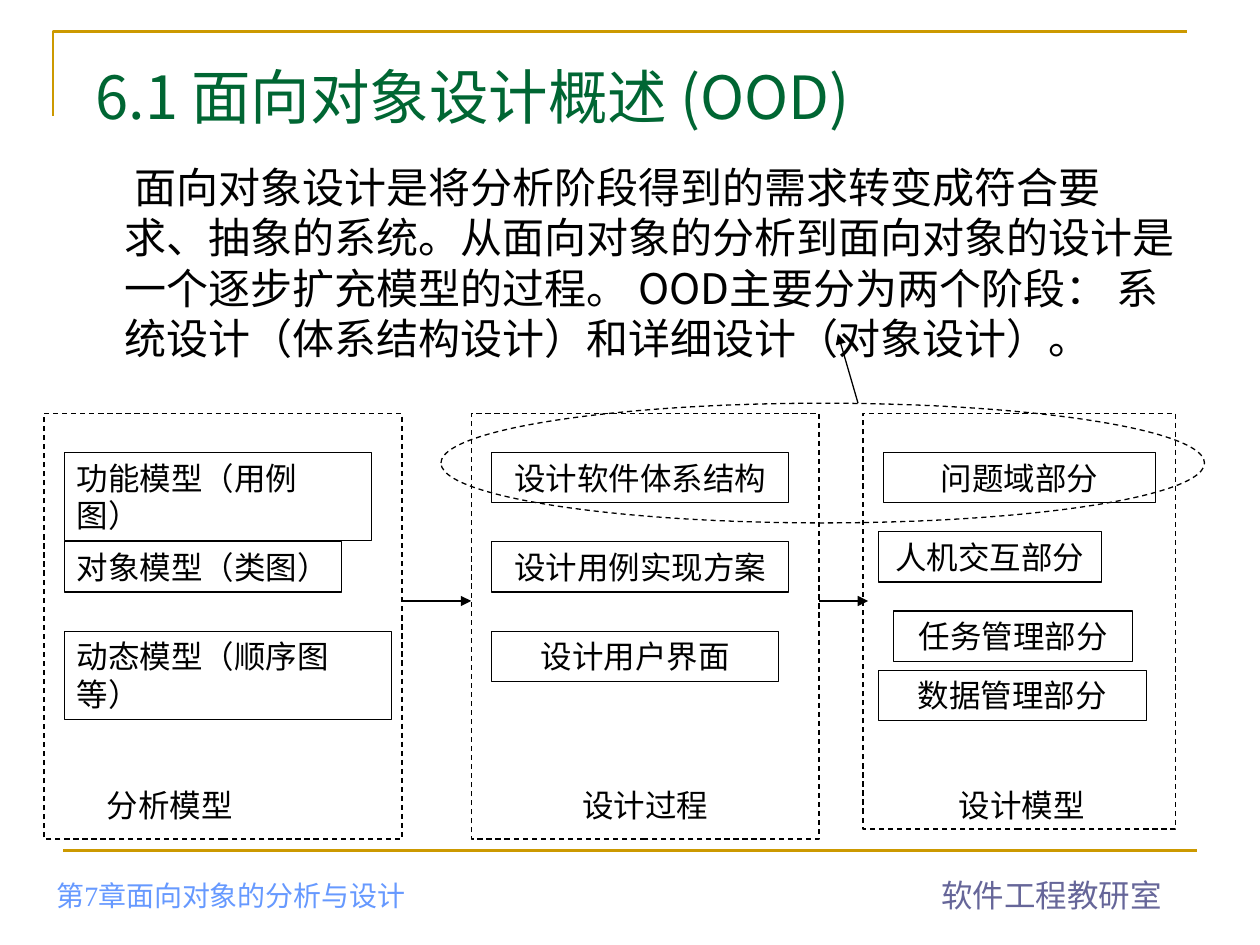
from typing import NamedTuple

from lxml import etree
from pptx import Presentation
from pptx.dml.color import RGBColor
from pptx.enum.dml import MSO_LINE
from pptx.enum.shapes import MSO_CONNECTOR, MSO_SHAPE
from pptx.enum.text import MSO_ANCHOR, MSO_AUTO_SIZE, PP_ALIGN
from pptx.oxml.ns import qn
from pptx.util import Inches, Pt

RECTANGLE, ELLIPSE = MSO_SHAPE.RECTANGLE, MSO_SHAPE.OVAL
STRAIGHT, DASH = MSO_CONNECTOR.STRAIGHT, MSO_LINE.DASH
LEFT, CENTER = PP_ALIGN.LEFT, PP_ALIGN.CENTER
TOP, MIDDLE, BOTTOM = MSO_ANCHOR.TOP, MSO_ANCHOR.MIDDLE, MSO_ANCHOR.BOTTOM
BLACK, GOLD, GREEN = "000000", "CC9900", "006633"
CJK = "Noto Sans CJK SC"


class Area(NamedTuple):
    left: float
    top: float
    width: float
    height: float


class Item(NamedTuple):
    text: str
    area: Area


class Stage(NamedTuple):
    frame: Area
    label: Item
    items: list[Item]
    align: PP_ALIGN


class Link(NamedTuple):
    start: tuple[float, float]
    end: tuple[float, float]


ROW = 0.4
STAGES = [
    Stage(Area(0.35, 3.28, 2.84, 3.38),
          Item("分析模型", Area(0.75, 6.19, 2.28, ROW)),
          [Item("功能模型（用例图）", Area(0.51, 3.59, 2.44, 0.7)),
           Item("对象模型（类图）", Area(0.51, 4.3, 2.2, ROW)),
           Item("动态模型（顺序图等）", Area(0.51, 5.01, 2.6, 0.7))],
          LEFT),
    Stage(Area(3.74, 3.28, 2.76, 3.38),
          Item("设计过程", Area(3.98, 6.19, 2.28, ROW)),
          [Item("设计软件体系结构", Area(3.9, 3.59, 2.36, ROW)),
           Item("设计用例实现方案", Area(3.9, 4.3, 2.36, ROW)),
           Item("设计用户界面", Area(3.9, 5.01, 2.28, ROW))],
          CENTER),
    Stage(Area(6.85, 3.28, 2.48, 3.3),
          Item("设计模型", Area(6.97, 6.19, 2.28, ROW)),
          [Item("问题域部分", Area(7.01, 3.59, 2.16, ROW)),
           Item("人机交互部分", Area(6.97, 4.22, 1.77, ROW)),
           Item("任务管理部分", Area(7.09, 4.85, 1.9, ROW)),
           Item("数据管理部分", Area(6.97, 5.32, 2.13, ROW))],
          CENTER),
]
SYSTEM_DESIGN = Area(3.5, 3.2, 6.06, 0.95)
ARROWS = [
    Link((3.19, 4.77), (3.74, 4.77)),
    Link((6.5, 4.77), (6.89, 4.77)),
    Link((6.81, 3.2), (6.65, 2.65)),
]


def rgb(color: str) -> RGBColor:
    return RGBColor.from_string(color)


def inches(area: Area) -> list[Inches]:
    return [Inches(length) for length in area]


def write(shape, text: str, size: float, font: str = "Arial", color: str = BLACK,
          align: PP_ALIGN = LEFT, anchor: MSO_ANCHOR = TOP, wrap: bool = True):
    """Fill a shape with one formatted paragraph and return the paragraph."""
    frame = shape.text_frame
    frame.text = text
    frame.auto_size = MSO_AUTO_SIZE.NONE
    frame.word_wrap = wrap
    frame.vertical_anchor = anchor
    paragraph = frame.paragraphs[0]
    paragraph.alignment = align
    paragraph.space_before = Pt(0)
    run_font = paragraph.runs[0].font
    run_font.size = Pt(size)
    run_font.name = font
    run_font.color.rgb = rgb(color)
    return paragraph


def place(placeholder, area: Area) -> None:
    (placeholder.left, placeholder.top,
     placeholder.width, placeholder.height) = inches(area)


def add_label(slide, item: Item, size: float, **style) -> None:
    write(slide.shapes.add_textbox(*inches(item.area)), item.text, size, **style)


def add_outline(slide, kind: MSO_SHAPE, area: Area, dashed: bool = False):
    shape = slide.shapes.add_shape(kind, *inches(area))
    shape.shadow.inherit = False
    shape.fill.background()
    shape.line.color.rgb = rgb(BLACK)
    shape.line.width = Pt(0.75)
    if dashed:
        shape.line.dash_style = DASH
    return shape


def add_line(slide, link: Link, color: str = BLACK, width: float = 0.75,
             arrow: bool = False) -> None:
    ends = [Inches(length) for length in (*link.start, *link.end)]
    line = slide.shapes.add_connector(STRAIGHT, *ends)
    line.line.color.rgb = rgb(color)
    line.line.width = Pt(width)
    properties = line.element.spPr
    if arrow:
        etree.SubElement(properties.find(qn("a:ln")), qn("a:tailEnd"), type="triangle")
    etree.SubElement(properties, qn("a:effectLst"))


def add_corner_rule(slide) -> None:
    builder = slide.shapes.build_freeform(Inches(0.42), Inches(0.92))
    builder.add_line_segments([(Inches(0.42), Inches(0.25)),
                               (Inches(9.42), Inches(0.25))], close=False)
    corner = builder.convert_to_shape()
    corner.shadow.inherit = False
    corner.fill.background()
    corner.line.color.rgb = rgb(GOLD)
    corner.line.width = Pt(1.5)


def add_stage(slide, stage: Stage) -> None:
    for item in stage.items:
        box = add_outline(slide, RECTANGLE, item.area)
        write(box, item.text, 18, align=stage.align)
    add_outline(slide, RECTANGLE, stage.frame, dashed=True)
    add_label(slide, stage.label, 18, align=stage.align)


def main() -> None:
    deck = Presentation()
    deck.slide_width, deck.slide_height = Inches(10), Inches(7.5)
    slide = deck.slides.add_slide(deck.slide_layouts[1])

    add_corner_rule(slide)
    add_line(slide, Link((0.5, 6.75), (9.5, 6.75)), GOLD, 1.5)
    add_label(slide, Item("软件工程教研室", Area(7.37, 6.9, 1.95, ROW)), 18,
              color="666699", wrap=False)
    add_label(slide, Item("第7章面向对象的分析与设计", Area(0.35, 6.98, 4.1, 0.31)), 16,
              font="Times New Roman", color="6699FF", anchor=BOTTOM)

    title, overview = slide.placeholders
    place(title, Area(0.66, 0.29, 7.65, 0.94))
    write(title, "6.1 面向对象设计概述 (OOD)", 34, CJK, GREEN, anchor=MIDDLE)

    place(overview, Area(0.51, 1.23, 8.96, 1.7))
    paragraph = write(
        overview,
        "面向对象设计是将分析阶段得到的需求转变成符合要求、抽象的系统。"
        "从面向对象的分析到面向对象的设计是一个逐步扩充模型的过程。 "
        "OOD主要分为两个阶段： 系统设计（体系结构设计）和详细设计（对象设计）。",
        24, CJK)
    layout = paragraph._p.get_or_add_pPr()
    layout.set("marL", str(Inches(0.38)))
    layout.set("indent", str(Inches(0.08)))
    layout.set("hangingPunct", "0")
    etree.SubElement(layout, qn("a:buNone"))

    for stage in STAGES:
        add_stage(slide, stage)
    add_outline(slide, ELLIPSE, SYSTEM_DESIGN, dashed=True)
    for link in ARROWS:
        add_line(slide, link, arrow=True)

    deck.save("out.pptx")


if __name__ == "__main__":
    main()
